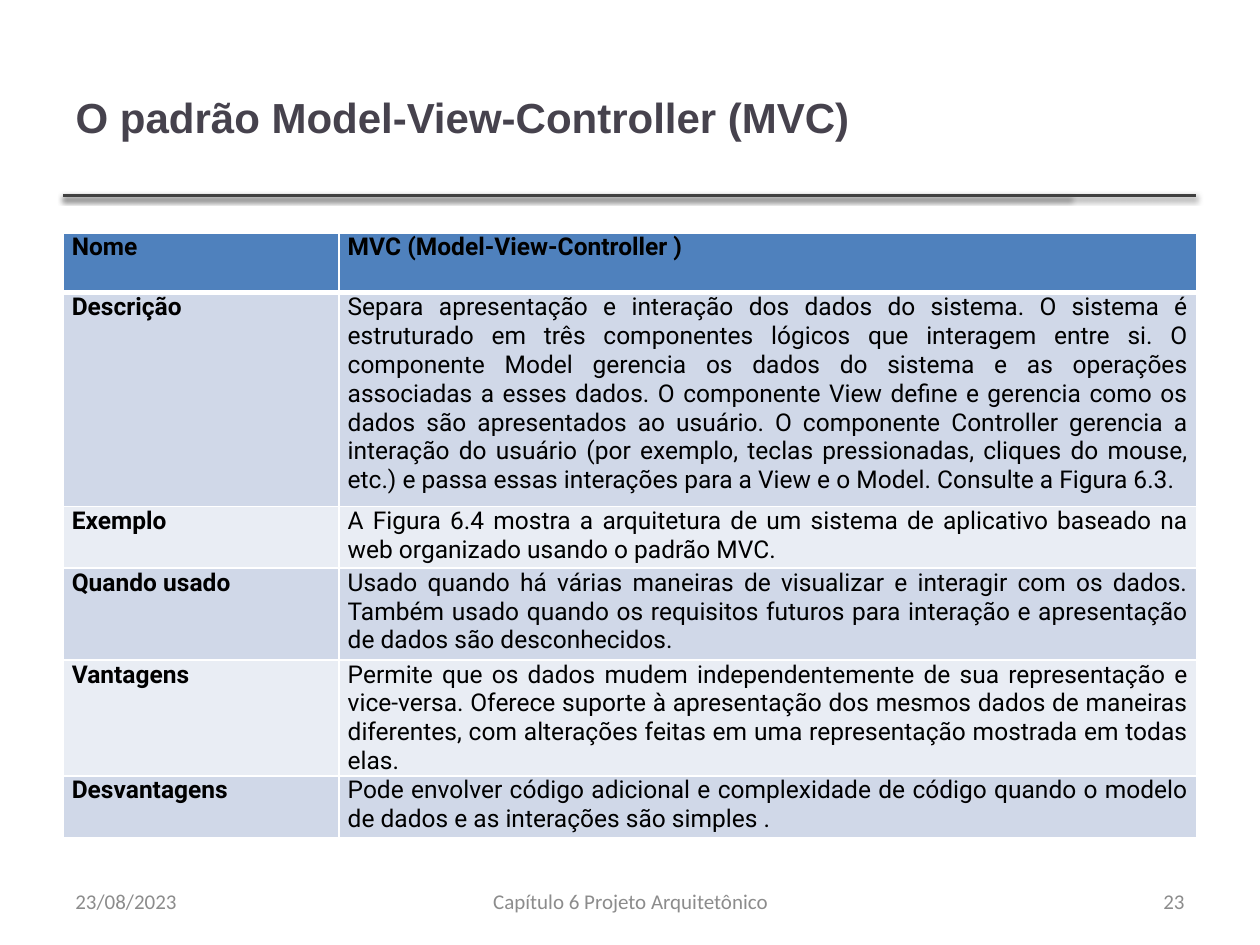
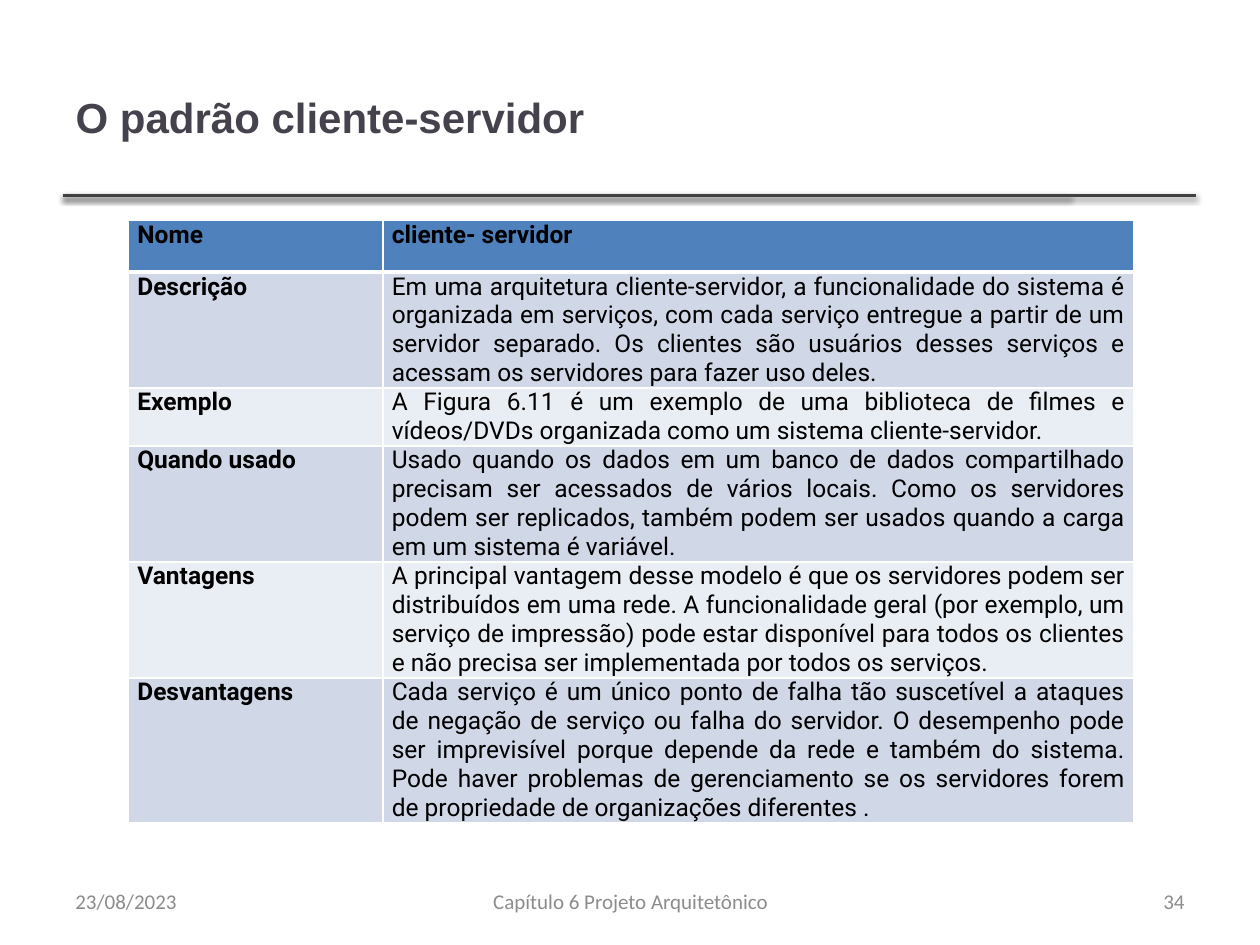
from lxml.etree import SubElement
from pptx import Presentation
from pptx.dml.color import RGBColor
from pptx.enum.shapes import MSO_CONNECTOR
from pptx.enum.text import MSO_ANCHOR, MSO_AUTO_SIZE, PP_ALIGN
from pptx.oxml.ns import qn
from pptx.util import Inches, Pt

TITLE_COLOR = "46424D"
RULE_COLOR = "404040"
FOOTER_COLOR = "8C8C8C"
TEXT_COLOR = "000000"
BORDER_COLOR = "FFFFFF"
HEADER_FILL = "4F81BD"
BAND_FILLS = ("E9EDF4", "D0D8E8")
DATE = "23/08/2023"
CHAPTER = "Capítulo 6 Projeto Arquitetônico"
ROW_LABELS = ("Nome", "Descrição", "Exemplo", "Quando usado", "Vantagens", "Desvantagens")

PATTERNS = [
    {
        "title": "O padrão Model-View-Controller (MVC)",
        "number": "23",
        "position": (0.5, 1.85),
        "columns": (2.19, 6.81),
        "rows": (0.47, 1.7, 0.49, 0.73, 0.92, 0.49),
        "texts": (
            "MVC (Model-View-Controller )",
            "Separa apresentação e interação dos dados do sistema. O sistema é estruturado em três "
            "componentes lógicos que interagem entre si. O componente Model gerencia os dados do "
            "sistema e as operações associadas a esses dados. O componente View define e gerencia "
            "como os dados são apresentados ao usuário. O componente Controller gerencia a interação "
            "do usuário (por exemplo, teclas pressionadas, cliques do mouse, etc.) e passa essas "
            "interações para a View e o Model. Consulte a Figura 6.3.",
            "A Figura 6.4 mostra a arquitetura de um sistema de aplicativo baseado na web organizado "
            "usando o padrão MVC.",
            "Usado quando há várias maneiras de visualizar e interagir com os dados. Também usado "
            "quando os requisitos futuros para interação e apresentação de dados são desconhecidos.",
            "Permite que os dados mudem independentemente de sua representação e vice-versa. Oferece "
            "suporte à apresentação dos mesmos dados de maneiras diferentes, com alterações feitas em "
            "uma representação mostrada em todas elas.",
            "Pode envolver código adicional e complexidade de código quando o modelo de dados e as "
            "interações são simples .",
        ),
    },
    {
        "title": "O padrão cliente-servidor",
        "number": "34",
        "position": (1.02, 1.75),
        "columns": (2.02, 5.96),
        "rows": (0.41, 0.92, 0.46, 0.92, 0.92, 1.15),
        "texts": (
            "cliente- servidor",
            "Em uma arquitetura cliente-servidor, a funcionalidade do sistema é organizada em "
            "serviços, com cada serviço entregue a partir de um servidor separado. Os clientes são "
            "usuários desses serviços e acessam os servidores para fazer uso deles.",
            "A Figura 6.11 é um exemplo de uma biblioteca de filmes e vídeos/DVDs organizada como um "
            "sistema cliente-servidor.",
            "Usado quando os dados em um banco de dados compartilhado precisam ser acessados de "
            "vários locais. Como os servidores podem ser replicados, também podem ser usados quando "
            "a carga em um sistema é variável.",
            "A principal vantagem desse modelo é que os servidores podem ser distribuídos em uma "
            "rede. A funcionalidade geral (por exemplo, um serviço de impressão) pode estar "
            "disponível para todos os clientes e não precisa ser implementada por todos os serviços.",
            "Cada serviço é um único ponto de falha tão suscetível a ataques de negação de serviço "
            "ou falha do servidor. O desempenho pode ser imprevisível porque depende da rede e "
            "também do sistema. Pode haver problemas de gerenciamento se os servidores forem de "
            "propriedade de organizações diferentes .",
        ),
    },
]


def color(hex_string):
    """Return the colour for a hex string."""
    return RGBColor.from_string(hex_string)


def format_paragraph(paragraph, font_name, size, hex_color, bold=False, alignment=PP_ALIGN.LEFT):
    """Set the font and alignment of a paragraph."""
    paragraph.alignment = alignment
    font = paragraph.font
    font.name, font.size, font.bold = font_name, Pt(size), bold
    font.color.rgb = color(hex_color)


def set_title(slide, text):
    """Place and format the title placeholder."""
    title = slide.shapes.title
    title.left, title.top = Inches(0.5), Inches(0.3)
    title.width, title.height = Inches(7.98), Inches(1.25)
    frame = title.text_frame
    frame.text = text
    frame.auto_size = MSO_AUTO_SIZE.NONE
    frame.vertical_anchor = MSO_ANCHOR.MIDDLE
    format_paragraph(frame.paragraphs[0], "Arial", 24, TITLE_COLOR, bold=True)


def add_rule(slide, right):
    """Draw a shadowed horizontal rule below the title."""
    rule = slide.shapes.add_connector(
        MSO_CONNECTOR.STRAIGHT, Inches(0.5), Inches(1.55), Inches(right), Inches(1.55))
    rule.line.color.rgb = color(RULE_COLOR)
    rule.line.width = Pt(2)
    effects = SubElement(rule._element.spPr, qn("a:effectLst"))
    shadow = SubElement(effects, qn("a:outerShdw"), blurRad="40000", dist="20000",
                        dir="5400000", rotWithShape="0")
    shadow_color = SubElement(shadow, qn("a:srgbClr"), val="000000")
    SubElement(shadow_color, qn("a:alpha"), val="38000")


def add_footer_text(slide, text, left, width, alignment):
    """Add one text of the footer line."""
    box = slide.shapes.add_textbox(Inches(left), Inches(6.95), Inches(width), Inches(0.4))
    frame = box.text_frame
    frame.word_wrap = True
    frame.vertical_anchor = MSO_ANCHOR.MIDDLE
    frame.text = text
    format_paragraph(frame.paragraphs[0], "Calibri", 12, FOOTER_COLOR, alignment=alignment)


def set_borders(cell, bottom_width):
    """Give a cell white borders, with its own bottom width."""
    properties = cell._tc.get_or_add_tcPr()
    for side, width in (("lnL", 1), ("lnR", 1), ("lnT", 1), ("lnB", bottom_width)):
        line = SubElement(properties, qn(f"a:{side}"), w=str(Pt(width)))
        fill = SubElement(line, qn("a:solidFill"))
        SubElement(fill, qn("a:srgbClr"), val=BORDER_COLOR)


def fill_cell(cell, text, fill, bold, bottom_width):
    """Write and format one table cell."""
    set_borders(cell, bottom_width)
    cell.fill.solid()
    cell.fill.fore_color.rgb = color(fill)
    cell.margin_left = cell.margin_right = Inches(0.07)
    cell.margin_top = cell.margin_bottom = 0
    cell.text = text
    format_paragraph(cell.text_frame.paragraphs[0], "Roboto", 14, TEXT_COLOR, bold,
                     PP_ALIGN.JUSTIFY)


def add_pattern_table(slide, pattern):
    """Add the table that describes an architectural pattern."""
    left, top = pattern["position"]
    columns, rows = pattern["columns"], pattern["rows"]
    table = slide.shapes.add_table(
        len(rows), len(columns), Inches(left), Inches(top),
        Inches(sum(columns)), Inches(sum(rows))).table
    for column, width in zip(table.columns, columns):
        column.width = Inches(width)
    for index, texts in enumerate(zip(ROW_LABELS, pattern["texts"])):
        is_header = index == 0
        table.rows[index].height = Inches(rows[index])
        fill = HEADER_FILL if is_header else BAND_FILLS[index % 2]
        for column, text in enumerate(texts):
            fill_cell(table.cell(index, column), text, fill,
                      bold=is_header or column == 0, bottom_width=3 if is_header else 1)


def add_pattern_slide(presentation, pattern):
    """Add a slide with title, rules, table and footer."""
    slide = presentation.slides.add_slide(presentation.slide_layouts[5])
    for right in (8.49, 9.49):
        add_rule(slide, right)
    set_title(slide, pattern["title"])
    add_pattern_table(slide, pattern)
    add_footer_text(slide, CHAPTER, 3.42, 3.17, PP_ALIGN.CENTER)
    add_footer_text(slide, pattern["number"], 7.17, 2.33, PP_ALIGN.RIGHT)
    add_footer_text(slide, DATE, 0.5, 2.33, PP_ALIGN.LEFT)


def main():
    """Build and save the presentation."""
    presentation = Presentation()
    presentation.slide_width, presentation.slide_height = Inches(10), Inches(7.5)
    for pattern in PATTERNS:
        add_pattern_slide(presentation, pattern)
    presentation.save("out.pptx")


if __name__ == "__main__":
    main()
